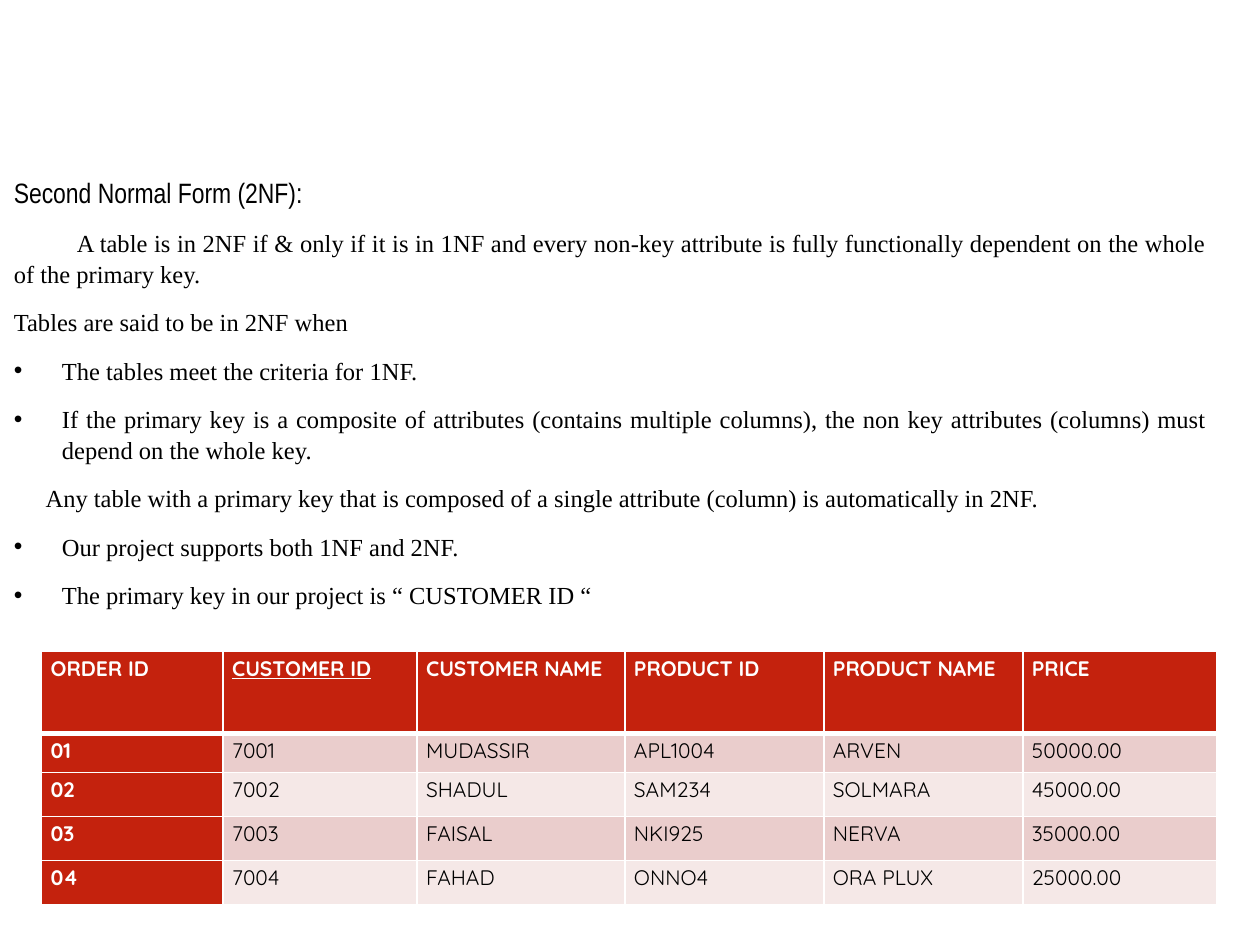
from dataclasses import dataclass

from lxml.etree import SubElement
from pptx import Presentation
from pptx.dml.color import RGBColor
from pptx.enum.text import MSO_AUTO_SIZE as AutoSize, PP_ALIGN as Align
from pptx.oxml.ns import qn
from pptx.slide import Slide
from pptx.table import _Cell as Cell
from pptx.text.text import _Paragraph as Paragraph
from pptx.util import Cm, Pt

WHITE, BLACK, RED = "FFFFFF", "000000", "C4220D"
BANDS = ("EACDCC", "F5E8E7")


@dataclass(frozen=True)
class Face:
    font: str
    size: float
    color: str = BLACK
    bold: bool = False
    underline: bool = False


@dataclass(frozen=True)
class Entry:
    text: str
    left: float = 0
    first_line: float = 0
    bullet: bool = False
    face: Face = Face("Times New Roman", 14)


def bulleted(text: str) -> Entry:
    return Entry(text, left=0.97, first_line=-0.97, bullet=True)


ENTRIES = (
    Entry("Second Normal Form (2NF):", face=Face("Arial Narrow", 16)),
    Entry("A table is in 2NF if & only if it is in 1NF and every non-key attribute "
          "is fully functionally dependent on the whole of the primary key.",
          first_line=1.27),
    Entry("Tables are said to be in 2NF when"),
    bulleted("The tables meet the criteria for 1NF."),
    bulleted("If the primary key is a composite of attributes (contains multiple columns), "
             "the non key attributes (columns) must depend on the whole key."),
    Entry("Any table with a primary key that is composed of a single attribute (column) "
          "is automatically in 2NF.", left=0.64),
    bulleted("Our project supports both 1NF and 2NF."),
    bulleted("The primary key in our project is “ CUSTOMER ID “"),
)

PRIMARY_KEY = "CUSTOMER ID"
ORDERS = (
    ("ORDER ID", PRIMARY_KEY, "CUSTOMER NAME", "PRODUCT ID", "PRODUCT NAME", "PRICE"),
    ("01", "7001", "MUDASSIR", "APL1004", "ARVEN", "50000.00"),
    ("02", "7002", "SHADUL", "SAM234", "SOLMARA", "45000.00"),
    ("03", "7003", "FAISAL", "NKI925", "NERVA", "35000.00"),
    ("04", "7004", "FAHAD", "ONNO4", "ORA PLUX", "25000.00"),
)
COLUMN_WIDTHS = (3.66, 3.91, 4.19, 4.01, 4.01, 3.91)
ROW_HEIGHTS = (1.65, 0.79, 0.89, 0.89, 0.89)


def rgb(color: str) -> RGBColor:
    return RGBColor.from_string(color)


def add_run(paragraph: Paragraph, text: str, face: Face) -> None:
    run = paragraph.add_run()
    run.text = text
    run.font.name = face.font
    run.font.size = Pt(face.size)
    run.font.bold = face.bold
    run.font.underline = face.underline
    run.font.color.rgb = rgb(face.color)


def write_entry(paragraph: Paragraph, entry: Entry) -> None:
    paragraph.alignment = Align.JUSTIFY
    paragraph.line_spacing = 1.05
    paragraph.space_after = Pt(10)
    properties = paragraph._p.get_or_add_pPr()
    properties.set("marL", str(Cm(entry.left)))
    properties.set("indent", str(Cm(entry.first_line)))
    if entry.bullet:
        SubElement(properties, qn("a:buFont"), typeface="Arial")
        SubElement(properties, qn("a:buChar"), char="•")
    add_run(paragraph, entry.text, entry.face)


def add_explanation(slide: Slide) -> None:
    box = slide.shapes.add_textbox(Cm(0.03), Cm(3.38), Cm(24.56), Cm(8.81))
    frame = box.text_frame
    frame.word_wrap = True
    frame.auto_size = AutoSize.SHAPE_TO_FIT_TEXT
    for index, entry in enumerate(ENTRIES):
        write_entry(frame.add_paragraph() if index else frame.paragraphs[0], entry)


def set_borders(cell: Cell, top: float, bottom: float) -> None:
    """Draw white cell borders; the widths are in points."""
    properties = cell._tc.get_or_add_tcPr()
    for side, width in (("L", 1), ("R", 1), ("T", top), ("B", bottom)):
        line = SubElement(properties, qn(f"a:ln{side}"), w=str(Pt(width)))
        SubElement(SubElement(line, qn("a:solidFill")), qn("a:srgbClr"), val=WHITE)


def write_cell(cell: Cell, text: str, row: int, column: int) -> None:
    heading = row == 0 or column == 0
    set_borders(cell, top=3 if row == 1 else 1, bottom=3 if row == 0 else 1)
    cell.fill.solid()
    cell.fill.fore_color.rgb = rgb(RED if heading else BANDS[(row - 1) % 2])
    cell.margin_left = cell.margin_right = Cm(0.18)
    cell.margin_top = cell.margin_bottom = Cm(0)
    paragraph = cell.text_frame.paragraphs[0]
    paragraph.alignment = Align.JUSTIFY
    paragraph.line_spacing = 1.15
    face = Face("Quicksand", 12, WHITE if heading else BLACK, heading, text == PRIMARY_KEY)
    add_run(paragraph, text, face)


def add_orders(slide: Slide) -> None:
    table = slide.shapes.add_table(
        len(ORDERS), len(COLUMN_WIDTHS), Cm(0.84), Cm(13.13),
        Cm(sum(COLUMN_WIDTHS)), Cm(sum(ROW_HEIGHTS))).table
    for column, width in zip(table.columns, COLUMN_WIDTHS):
        column.width = Cm(width)
    for row, height in zip(table.rows, ROW_HEIGHTS):
        row.height = Cm(height)
    for row, order in enumerate(ORDERS):
        for column, text in enumerate(order):
            write_cell(table.cell(row, column), text, row, column)


def main() -> None:
    presentation = Presentation()
    presentation.slide_width, presentation.slide_height = Cm(25.4), Cm(19.05)
    slide = presentation.slides.add_slide(presentation.slide_layouts[6])
    add_explanation(slide)
    add_orders(slide)
    presentation.save("out.pptx")


if __name__ == "__main__":
    main()
